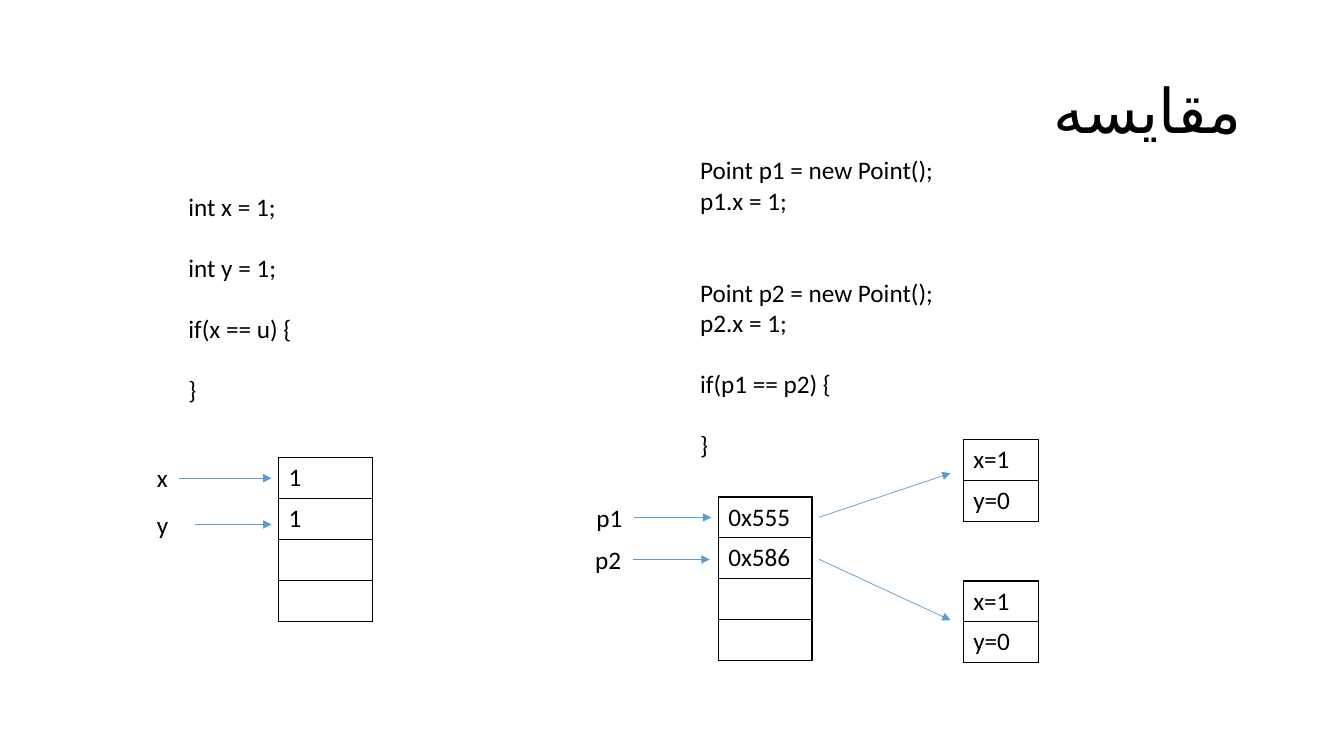
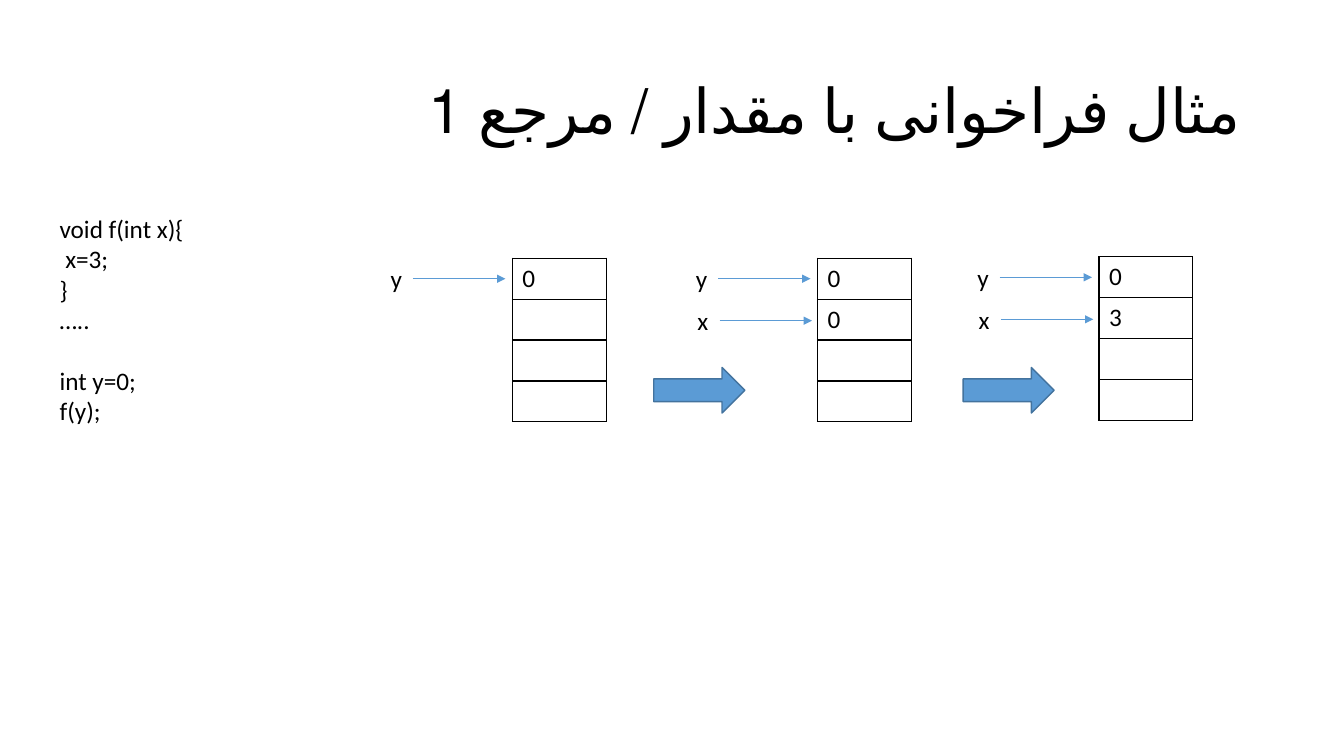
from lxml import etree
from pptx import Presentation
from pptx.dml.color import RGBColor
from pptx.enum import lang, shapes, text
from pptx.oxml import ns
from pptx.util import Pt

BLACK = RGBColor(0x00, 0x00, 0x00)
BLUE = RGBColor(0x5B, 0x9B, 0xD5)
EDGE = RGBColor(0x43, 0x73, 0x9E)
FONT = "Calibri"
SIZE = 18
LINE = 22
ROW = 29.2
MID = ROW / 2

SCALAR = """int x = 1;

int y = 1;

if(x == u) {

}"""

OBJECT = """Point p1 = new Point();
p1.x = 1;


Point p2 = new Point();
p2.x = 1;

if(p1 == p2) {

}"""

CALL = """void f(int x){
 x=3;
}
…..

int y=0;
f(y);"""


def style(para, size=SIZE):
    for run in para.runs:
        run.font.name = FONT
        run.font.size = Pt(size)
        run.font.color.rgb = BLACK


def add_box(slide, left, top, width, height, wrap=True):
    box = slide.shapes.add_textbox(Pt(left), Pt(top), Pt(width), Pt(height))
    box.text_frame.word_wrap = wrap
    return box.text_frame


def add_title(slide, words):
    frame = add_box(slide, 66, 29, 828, 104)
    frame.vertical_anchor = text.MSO_ANCHOR.MIDDLE
    frame.text = words
    para = frame.paragraphs[0]
    para.alignment = text.PP_ALIGN.RIGHT
    para.line_spacing = 0.9
    para._p.get_or_add_pPr().set("rtl", "1")
    style(para, 44)
    para.runs[0].font.language_id = lang.MSO_LANGUAGE_ID.FARSI


def add_code(slide, left, top, width, code):
    lines = code.split("\n")
    frame = add_box(slide, left, top, width, len(lines) * LINE + 7.2)
    para = frame.paragraphs[0]
    gap = 0
    for num, line in enumerate(lines):
        if not line:
            gap += LINE
            continue
        if num:
            para = frame.add_paragraph()
        para.text = line
        if gap:
            para.space_before = Pt(gap)
        style(para)
        gap = 0


def add_label(slide, left, top, width, words):
    frame = add_box(slide, left, top, width, ROW, wrap=False)
    frame.text = words
    style(frame.paragraphs[0])


def add_arrow(slide, start, end):
    points = [Pt(num) for num in (*start, *end)]
    arrow = slide.shapes.add_connector(shapes.MSO_CONNECTOR.STRAIGHT, *points)
    arrow.line.color.rgb = BLUE
    arrow.line.width = Pt(0.5)
    tail = etree.SubElement(arrow.line._get_or_add_ln(), ns.qn("a:tailEnd"))
    tail.set("type", "triangle")
    etree.SubElement(arrow._element.spPr, ns.qn("a:effectLst"))


def add_edges(cell):
    props = cell._tc.get_or_add_tcPr()
    for side in "LRTB":
        edge = etree.SubElement(props, ns.qn("a:ln" + side), w=str(Pt(1)))
        fill = etree.SubElement(edge, ns.qn("a:solidFill"))
        etree.SubElement(fill, ns.qn("a:srgbClr"), val=str(BLACK))


def add_cells(slide, left, top, width, values):
    count = len(values)
    frame = slide.shapes.add_table(
        count, 1, Pt(left), Pt(top), Pt(width), Pt(ROW * count))
    table = frame.table
    table.first_row = False
    table.horz_banding = False
    for row, value in enumerate(values):
        cell = table.cell(row, 0)
        add_edges(cell)
        cell.fill.background()
        cell.text = value
        style(cell.text_frame.paragraphs[0])


def add_stack(slide, left, top, values, names, starts=(71, 71),
              step=30, nudge=1, width=23):
    add_cells(slide, left, top, 67, values + [""] * (4 - len(values)))
    for num, (name, start) in enumerate(zip(names, starts)):
        side = left + num * nudge
        head = top + num * step
        add_label(slide, side - 94, head, width, name)
        add_arrow(slide, (side - start, head + MID), (side - 5, head + MID))


def add_block(slide, left, top):
    block = slide.shapes.add_shape(
        shapes.MSO_SHAPE.RIGHT_ARROW, Pt(left), Pt(top), Pt(65), Pt(32.5))
    block.shadow.inherit = False
    block.fill.solid()
    block.fill.fore_color.rgb = BLUE
    block.line.color.rgb = EDGE
    block.line.width = Pt(1)


def compare(slide):
    add_title(slide, "مقایسه")
    add_code(slide, 127.5, 133, 152, SCALAR)
    add_stack(slide, 199, 327, ["1", "1"], ["x", "y"],
              starts=(71, 60), step=33, nudge=0)
    add_code(slide, 493, 107, 184, OBJECT)
    add_stack(slide, 513, 355, ["0x555", "0x586"], ["p1", "p2"],
              starts=(60, 60), nudge=-1, width=33)
    for top, start, end in ((314, 369.5, 338), (415, 399.5, 443)):
        add_cells(slide, 688, top, 54, ["x=1", "y=0"])
        add_arrow(slide, (585, start), (679, end))


def trace(slide):
    add_title(slide, "مثال فراخوانی با مقدار / مرجع 1")
    add_code(slide, 35.5, 149, 112, CALL)
    states = ((366, 184.5, ["0"]), (584, 184.5, ["0", "0"]),
              (785, 183.5, ["0", "3"]))
    for left, top, values in states:
        add_stack(slide, left, top, values, ["y", "x"][:len(values)])
    for left in (467, 688):
        add_block(slide, left, 262.5)


def main():
    deck = Presentation()
    deck.slide_width = Pt(960)
    deck.slide_height = Pt(540)
    for build in (compare, trace):
        build(deck.slides.add_slide(deck.slide_layouts[6]))
    deck.save("out.pptx")


if __name__ == "__main__":
    main()
